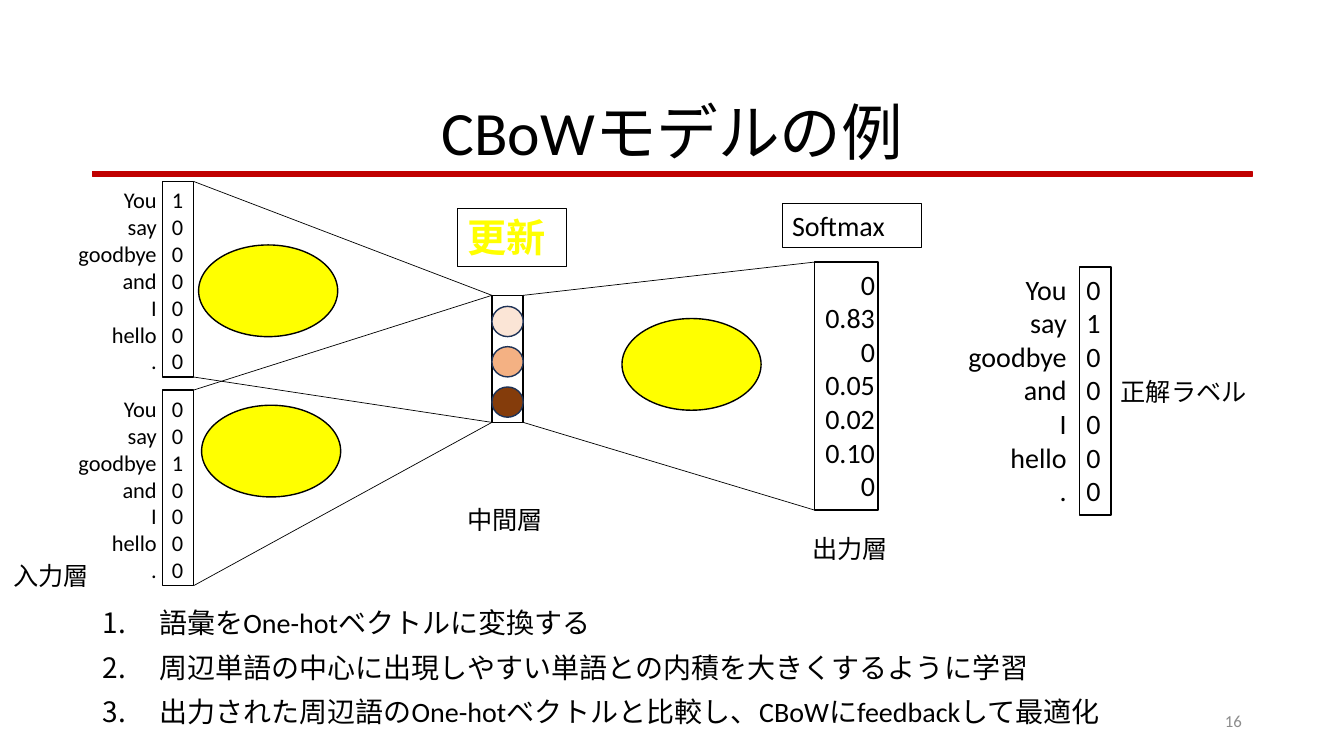
from dataclasses import dataclass
from typing import Optional

from lxml import etree
from pptx import Presentation
from pptx import util as u
from pptx.dml.color import RGBColor
from pptx.enum import shapes, text
from pptx.oxml.ns import qn


@dataclass(frozen=True)
class Theme:
    font: str = "Calibri"
    ink: str = "000000"
    rule: str = "C00000"
    highlight: str = "FFFF00"
    muted: str = "8C8C8C"
    neuron_edge: str = "1E3256"
    neurons: tuple[str, ...] = ("FBE5D6", "F4B183", "843C0B")
    title: int = 44
    update: int = 28
    body: int = 20
    label: int = 18
    word: int = 16
    page: int = 12


@dataclass(frozen=True)
class Area:
    """Place and size, in percent of the slide's width and height."""
    x: float
    y: float
    w: float
    h: float

    @property
    def right(self) -> float:
        return self.x + self.w

    @property
    def bottom(self) -> float:
        return self.y + self.h


@dataclass(frozen=True)
class Label:
    words: str
    area: Area
    size: int
    color: str = "000000"
    align: text.PP_ALIGN = text.PP_ALIGN.LEFT
    anchor: text.MSO_ANCHOR = text.MSO_ANCHOR.TOP
    bold: Optional[bool] = None
    frame: float = 0


@dataclass(frozen=True)
class OneHot:
    x: float
    y: float
    h: float
    hot: int
    size: int
    word_tab: float  # right edge of the words, share of the list's width

    @property
    def cell(self) -> Area:
        return Area(self.x + 9.68, self.y, 2.33, self.h)


THEME = Theme()
VOCABULARY = ("You", "say", "goodbye", "and", "I", "hello", ".")
SCORES = ("0", "0.83", "0", "0.05", "0.02", "0.10", "0")
STEPS = (
    "語彙をOne-hotベクトルに変換する",
    "周辺単語の中心に出現しやすい単語との内積を大きくするように学習",
    "出力された周辺語のOne-hotベクトルと比較し、CBoWにfeedbackして最適化",
)
LIST_WIDTH = 12.0
INPUTS = (OneHot(2.4, 24, 25.87, 0, THEME.word, 0.71),
          OneHot(2.4, 51.6, 25.87, 2, THEME.word, 0.71))
TRUTH = OneHot(70.65, 35.33, 32.8, 1, THEME.body, 0.665)
HIDDEN = Area(36.6, 39.07, 2.33, 16.8)
OUTPUT = Area(60.6, 34.67, 4.73, 32.8)
WEIGHTS = ((14.78, 32.4), (15, 53.6), (46.28, 42.13))
MIDDLE = text.MSO_ANCHOR.MIDDLE
LABELS = (
    Label("CBoWモデルの例", Area(6.9, 8.93, 86.25, 16.67), THEME.title,
          align=text.PP_ALIGN.CENTER, anchor=MIDDLE),
    Label("16", Area(70.65, 92.67, 22.5, 5.33), THEME.page, THEME.muted,
          text.PP_ALIGN.RIGHT, MIDDLE),
    Label("入力層", Area(0.23, 73.47, 7.35, 5.33), THEME.label),
    Label("中間層", Area(34.05, 66, 7.35, 5.33), THEME.label),
    Label("出力層", Area(59.7, 69.87, 7.35, 5.33), THEME.label),
    Label("正解ラベル", Area(82.65, 49.07, 15.98, 5.33), THEME.label),
    Label("Softmax", Area(58.2, 26.93, 10.35, 5.87), THEME.body, frame=0.75),
    Label("更新", Area(34.05, 27.6, 8.1, 7.6), THEME.update, THEME.highlight,
          bold=True, frame=0.75),
)

deck = Presentation()
deck.slide_width, deck.slide_height = u.Inches(13.33), u.Inches(7.5)
page = deck.slides.add_slide(deck.slide_layouts[6])


def across(share: float) -> int:
    return round(deck.slide_width * share / 100)


def down(share: float) -> int:
    return round(deck.slide_height * share / 100)


def place(area: Area) -> tuple[int, int, int, int]:
    return across(area.x), down(area.y), across(area.w), down(area.h)


def apply(target, values: dict) -> None:
    for name, value in values.items():
        setattr(target, name, value)


def add_figure(kind, area: Area, fill: Optional[str] = None,
               edge: str = THEME.ink, width: float = 1):
    figure = page.shapes.add_shape(kind, *place(area))
    figure.shadow.inherit = False
    if fill:
        figure.fill.solid()
        figure.fill.fore_color.rgb = RGBColor.from_string(fill)
    else:
        figure.fill.background()
    figure.line.color.rgb = RGBColor.from_string(edge)
    figure.line.width = u.Pt(width)
    return figure


def add_text(area: Area):
    box = page.shapes.add_textbox(*place(area))
    box.text_frame.word_wrap = True
    return box


def write(para, words: str, size: int, color: str = THEME.ink,
          bold: Optional[bool] = None):
    span = para.add_run()
    span.text = words
    apply(span.font, {"name": THEME.font, "size": u.Pt(size), "bold": bold})
    span.font.color.rgb = RGBColor.from_string(color)
    return span


def paragraphs(box, count: int) -> list:
    frame = box.text_frame
    return [frame.paragraphs[0]] + [frame.add_paragraph() for _ in range(count - 1)]


def add_label(label: Label) -> None:
    box = (add_figure(shapes.MSO_SHAPE.RECTANGLE, label.area, width=label.frame)
           if label.frame else add_text(label.area))
    apply(box.text_frame, {"vertical_anchor": label.anchor, "word_wrap": True})
    para = box.text_frame.paragraphs[0]
    para.alignment = label.align
    span = write(para, label.words, label.size, label.color, label.bold)
    if label.bold:  # thin black outline around the letters
        outline = etree.Element(qn("a:ln"), w=str(u.Pt(0.75)))
        fill = etree.SubElement(outline, qn("a:solidFill"))
        etree.SubElement(fill, qn("a:srgbClr"), val=THEME.ink)
        span.font._element.insert(0, outline)


def add_one_hot(vector: OneHot) -> None:
    add_figure(shapes.MSO_SHAPE.RECTANGLE, vector.cell)
    box = add_text(Area(vector.x, vector.y, LIST_WIDTH, vector.h))
    box.text_frame.margin_right = 0
    stops = (across(LIST_WIDTH * vector.word_tab), across(LIST_WIDTH * 0.875))
    for row, para in enumerate(paragraphs(box, len(VOCABULARY))):
        tabs = etree.SubElement(para._p.get_or_add_pPr(), qn("a:tabLst"))
        for stop in stops:
            etree.SubElement(tabs, qn("a:tab"), pos=str(stop), algn="r")
        write(para, f"\t{VOCABULARY[row]}\t{int(row == vector.hot)}", vector.size)


def join_layers(left: Area, right: Area) -> None:
    for start, end in ((left.y, right.y), (left.bottom, right.bottom)):
        edge = page.shapes.add_connector(
            shapes.MSO_CONNECTOR.STRAIGHT, across(left.right), down(start),
            across(right.x), down(end))
        edge.line.color.rgb = RGBColor.from_string(THEME.ink)
        edge.line.width = u.Pt(0.5)
        etree.SubElement(edge._element.spPr, qn("a:effectLst"))


# Title rule and weight ellipses
add_figure(shapes.MSO_SHAPE.RECTANGLE, Area(6.9, 22.67, 86.25, 0.67), THEME.rule, THEME.rule)
for x, y in WEIGHTS:
    add_figure(shapes.MSO_SHAPE.OVAL, Area(x, y, 10.35, 12.13), THEME.highlight)

# Hidden layer
add_figure(shapes.MSO_SHAPE.RECTANGLE, HIDDEN)
for index, shade in enumerate(THEME.neurons):
    add_figure(shapes.MSO_SHAPE.OVAL, Area(HIDDEN.x, 40.53 + index * 5.33, HIDDEN.w, 4),
               shade, THEME.neuron_edge)

# Input vectors, output scores and correct answer
for vector in (*INPUTS, TRUTH):
    add_one_hot(vector)
for vector in INPUTS:
    join_layers(vector.cell, HIDDEN)
join_layers(HIDDEN, OUTPUT)
scores = add_figure(shapes.MSO_SHAPE.RECTANGLE, OUTPUT)
apply(scores.text_frame, {"margin_left": 0, "margin_right": u.Inches(0.03),
                          "vertical_anchor": text.MSO_ANCHOR.TOP})
for para, score in zip(paragraphs(scores, len(SCORES)), SCORES):
    para.alignment = text.PP_ALIGN.RIGHT
    write(para, score, THEME.body)

# Numbered steps
steps = add_text(Area(6.9, 80, 86.25, 18))
for index, para in enumerate(paragraphs(steps, len(STEPS))):
    apply(para, {"line_spacing": 0.9, "space_before": u.Pt(10 if index else 0)})
    layout = para._p.get_or_add_pPr()
    layout.set("marL", str(across(4.2)))
    layout.set("indent", str(-across(4.2)))
    etree.SubElement(layout, qn("a:buAutoNum"), type="arabicPeriod")
    write(para, STEPS[index], THEME.body)

# Title, page number and captions
for label in LABELS:
    add_label(label)

deck.save("out.pptx")
